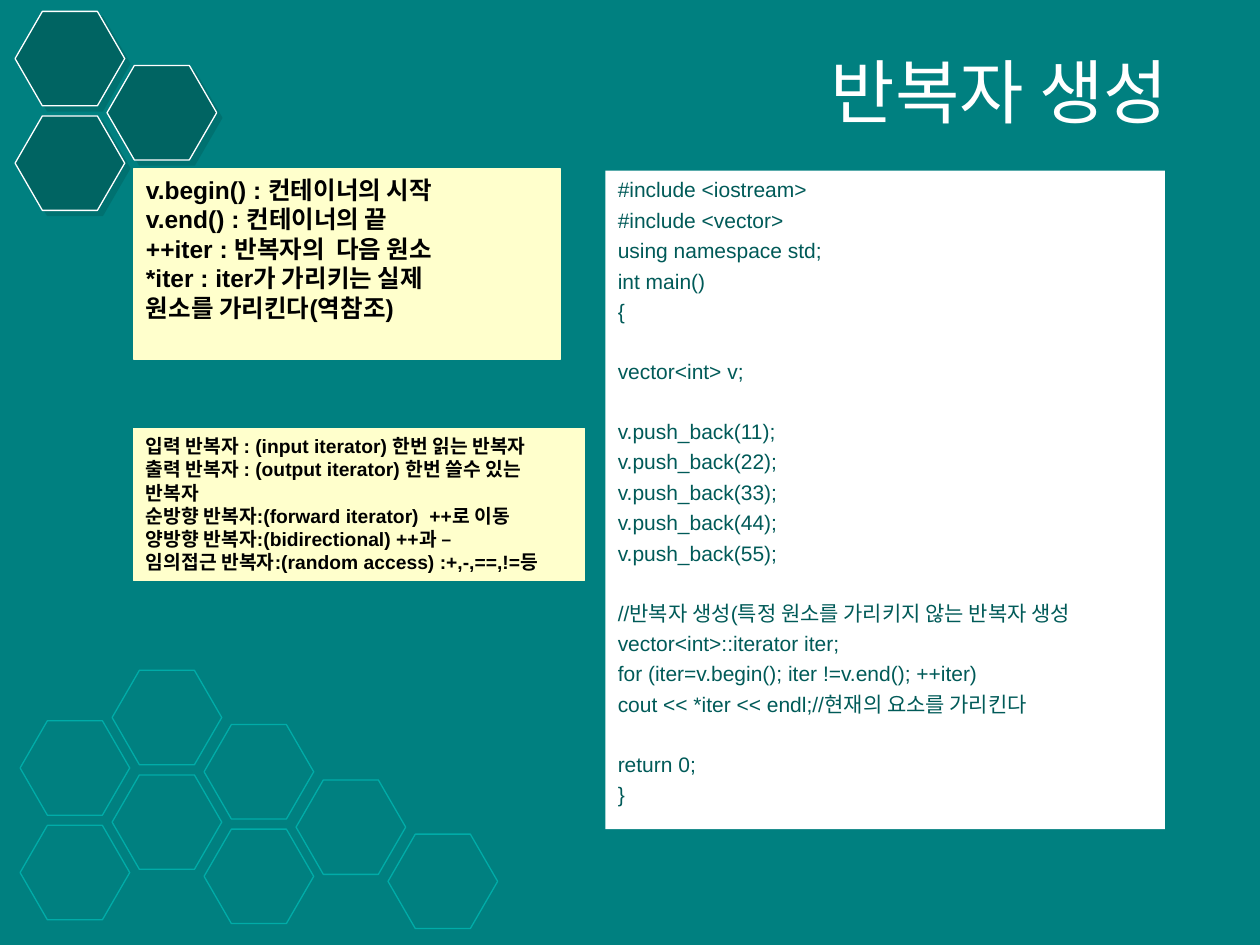
"""Builds the slide on creating C++ iterators."""
from typing import NamedTuple, Optional

from lxml.etree import SubElement
from pptx import Presentation
from pptx.dml.color import RGBColor
from pptx.enum.shapes import MSO_SHAPE as Shape
from pptx.enum.text import MSO_ANCHOR as Anchor, PP_ALIGN as Align
from pptx.oxml.ns import qn
from pptx.util import Inches, Pt

WIDTH, HEIGHT = Inches(10), Inches(7.5)
HEX_W, HEX_H = 8.7, 10
COL_STEP, ROW_STEP = 7.3, 11.07
CODE_GAP, BLANK_GAP = 3, 19.8


class Frame(NamedTuple):
    """A place on the slide in percent of its width and height."""
    x: float
    y: float
    w: float
    h: float


class HexColumn(NamedTuple):
    """A column of stacked hexagons: its index, top and count."""
    col: int
    top: float
    count: int


class Note(NamedTuple):
    """A filled box of bold lines."""
    frame: Frame
    size: float
    lines: list[str]


OUTLINED = [HexColumn(2, 76.67, 2), HexColumn(3, 82.53, 1), HexColumn(4, 88.27, 1),
            HexColumn(1, 70.93, 2), HexColumn(0, 76.27, 2)]
FILLED = [HexColumn(0, 1.2, 2), HexColumn(1, 6.93, 1)]

NOTES = [
    Note(Frame(10.6, 17.87, 33.9, 20.13), 14, [
        "v.begin() : 컨테이너의 시작",
        "v.end() : 컨테이너의 끝",
        "++iter : 반복자의  다음 원소",
        "*iter : iter가 가리키는 실제",
        "원소를 가리킨다(역참조)",
    ]),
    Note(Frame(10.6, 45.33, 35.8, 16.13), 11, [
        "입력 반복자 : (input iterator) 한번 읽는 반복자",
        "출력 반복자 : (output iterator) 한번 쓸수 있는 반복자",
        "순방향 반복자:(forward iterator)  ++로 이동",
        "양방향 반복자:(bidirectional) ++과 –",
        "임의접근 반복자:(random access) :+,-,==,!=등",
    ]),
]

CODE_BLOCKS = [
    ["#include <iostream>", "#include <vector>", "using namespace std;", "int main()", "{"],
    ["vector<int> v;"],
    [f"v.push_back({n});" for n in range(11, 56, 11)],
    ["//반복자 생성(특정 원소를 가리키지 않는 반복자 생성",
     "vector<int>::iterator iter;",
     "for (iter=v.begin(); iter !=v.end(); ++iter)",
     "cout << *iter << endl;//현재의 요소를 가리킨다"],
    ["return 0;", "}"],
]


def rgb(color: str) -> RGBColor:
    """Turn a hex string into a colour."""
    return RGBColor.from_string(color)


def add_box(s, kind: Shape, frame: Frame, fill: Optional[str] = None,
            line: Optional[str] = None):
    """Draw a preset shape without the theme's shadow."""
    sp = s.shapes.add_shape(kind, int(WIDTH * frame.x / 100), int(HEIGHT * frame.y / 100),
                            int(WIDTH * frame.w / 100), int(HEIGHT * frame.h / 100))
    sp.shadow.inherit = False
    if fill:
        sp.fill.solid()
        sp.fill.fore_color.rgb = rgb(fill)
    else:
        sp.fill.background()
    if line:
        sp.line.color.rgb = rgb(line)
        sp.line.width = Pt(0.75)
    else:
        sp.line.fill.background()
    return sp


def cast_shadow(sp, color: str) -> None:
    """Add a half-transparent shadow to the lower right."""
    effects = sp.element.spPr.find(qn("a:effectLst"))
    shadow = SubElement(effects, qn("a:outerShdw"), dist=str(Pt(4.2)), dir="2700000",
                        algn="ctr", rotWithShape="0")
    clr = SubElement(shadow, qn("a:srgbClr"), val=color)
    SubElement(clr, qn("a:alpha"), val="50000")


def add_hexagons(s, columns: list[HexColumn], left: float, line: str,
                 fill: Optional[str] = None) -> None:
    """Draw a honeycomb column by column; filled cells cast a shadow."""
    for column in columns:
        for row in reversed(range(column.count)):
            frame = Frame(left + column.col * COL_STEP, column.top + row * ROW_STEP,
                          HEX_W, HEX_H)
            sp = add_box(s, Shape.HEXAGON, frame, fill, line)
            sp.adjustments[0] = 0.289
            if fill:
                cast_shadow(sp, fill)


def write(sp, blocks: list[list[str]], size: float, color: str, bold: bool = False,
          align: Align = Align.LEFT, anchor: Anchor = Anchor.TOP,
          gap: float = 0, block_gap: float = 0) -> None:
    """Write blocks of lines, with wider space before each later block."""
    tf = sp.text_frame
    tf.word_wrap = True
    tf.vertical_anchor = anchor
    for b, block in enumerate(blocks):
        for i, text in enumerate(block):
            first = b == i == 0
            p = tf.paragraphs[0] if first else tf.add_paragraph()
            p.alignment = align
            p.space_before = Pt(block_gap if b and not i else gap)
            r = p.add_run()
            r.text = text
            r.font.name = "Arial"
            r.font.size = Pt(size)
            r.font.bold = bold
            r.font.color.rgb = rgb(color)


def main() -> None:
    """Build and save the slide."""
    prs = Presentation()
    prs.slide_width, prs.slide_height = WIDTH, HEIGHT
    s = prs.slides.add_slide(prs.slide_layouts[6])
    s.background.fill.solid()
    s.background.fill.fore_color.rgb = rgb("008080")

    add_hexagons(s, OUTLINED, 1.6, "00ACA8")
    add_hexagons(s, FILLED, 1.2, "FFFFFF", "006462")

    title = add_box(s, Shape.RECTANGLE, Frame(18.5, 3.73, 75.2, 11.6))
    write(title, [["반복자 생성"]], 40, "FFFFFF", align=Align.RIGHT, anchor=Anchor.MIDDLE)

    code = add_box(s, Shape.RECTANGLE, Frame(48.05, 18.05, 44.4, 69.7), "FFFFFF")
    write(code, CODE_BLOCKS, 12, "005A58", gap=CODE_GAP, block_gap=BLANK_GAP)

    for note in NOTES:
        sp = add_box(s, Shape.RECTANGLE, note.frame, "FFFFCC", "FFFFCC")
        write(sp, [note.lines], note.size, "000000", bold=True)

    prs.save("out.pptx")


main()
